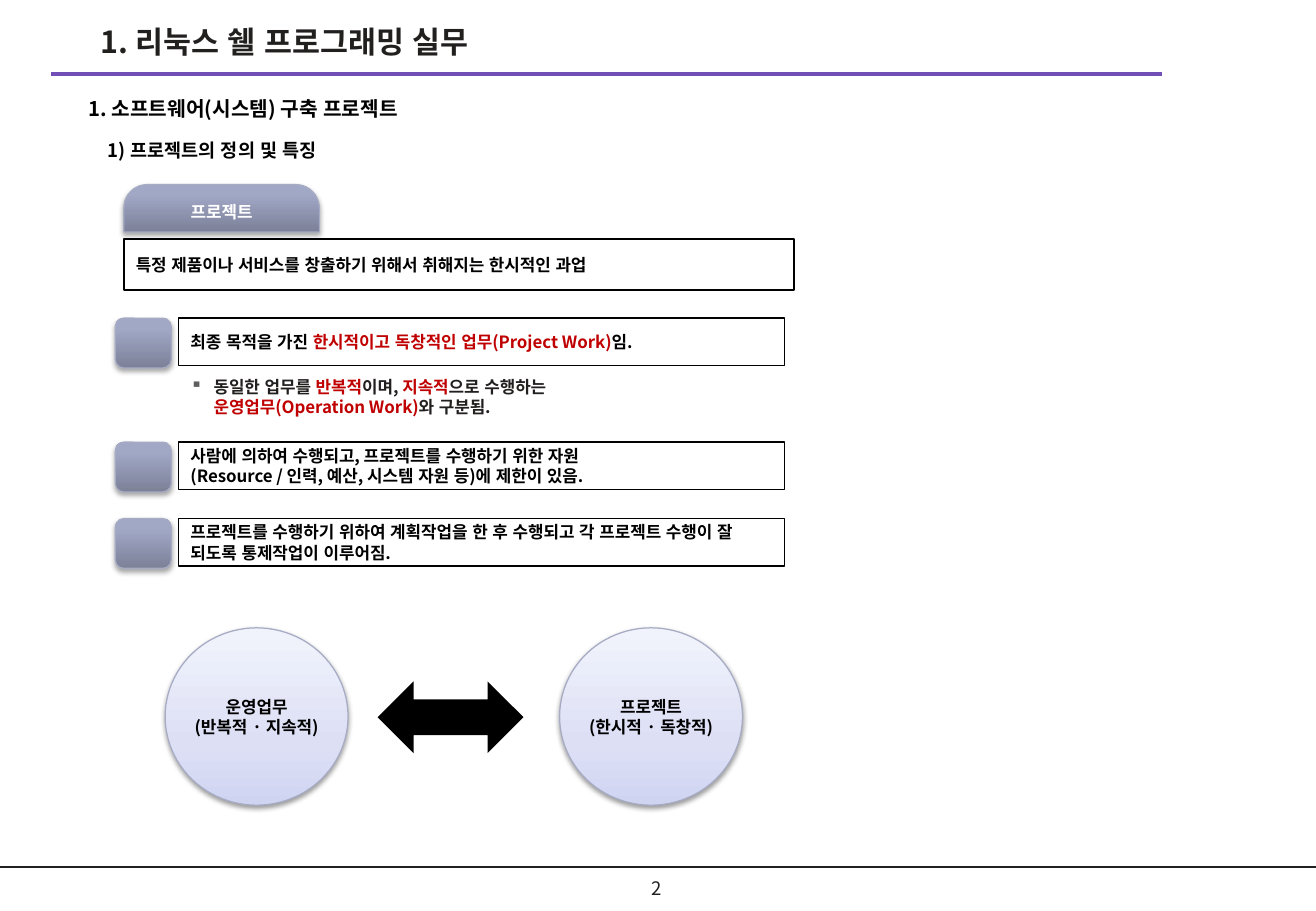
from lxml.etree import SubElement
from pptx import Presentation
from pptx.dml.color import RGBColor
from pptx.enum.lang import MSO_LANGUAGE_ID as LANG
from pptx.enum.shapes import MSO_CONNECTOR, MSO_SHAPE as SHAPE
from pptx.enum.text import MSO_ANCHOR as ANCHOR, MSO_AUTO_SIZE as AUTO, PP_ALIGN as ALIGN
from pptx.oxml.ns import qn
from pptx.util import Pt

FONT = "Noto Sans CJK KR"
BLACK = RGBColor(0x00, 0x00, 0x00)
WHITE = RGBColor(0xFF, 0xFF, 0xFF)
INK = RGBColor(0x22, 0x1F, 0x1F)
RED = RGBColor(0xC0, 0x00, 0x00)
PURPLE = RGBColor(0x72, 0x4F, 0xB7)
EDGE = RGBColor(0xA7, 0xAC, 0xC4)
SLATE = ((0, "7C8198"), (80, "A1A8C6"), (100, "A2A8C8"))
LILAC = ((0, "CFD4F1"), (35, "DDE0F5"), (100, "F1F3FC"))


class Deck:
    """Holds the text style and the current slide; lengths are in points."""

    def __init__(self, width, height):
        self.prs = Presentation()
        self.prs.slide_width, self.prs.slide_height = Pt(width), Pt(height)
        self.s = self.prs.slides.add_slide(self.prs.slide_layouts[5])

    def label(self, sp, runs, size, color, align=ALIGN.LEFT, anchor=ANCHOR.MIDDLE, bold=True):
        """Fill a shape with (text, colour) runs; a newline is a line break."""
        tf = sp.text_frame
        tf.word_wrap, tf.auto_size, tf.vertical_anchor = True, AUTO.NONE, anchor
        p = tf.paragraphs[0]
        p.alignment = align
        for text, run_color in [(runs, color)] if isinstance(runs, str) else runs:
            for i, line in enumerate(text.split("\n")):
                if i:
                    p.add_line_break()
                if not line:
                    continue
                r = p.add_run()
                r.text = line
                r.font.name, r.font.size, r.font.bold = FONT, Pt(size), bold
                r.font.color.rgb = run_color
                r.font.language_id = LANG.KOREAN
                SubElement(r.font._element, qn("a:ea"), typeface=FONT)
        return p

    def title(self, box, text, size):
        sp = self.s.shapes.title
        sp.left, sp.top, sp.width, sp.height = map(Pt, box)
        self.label(sp, text, size, INK, anchor=ANCHOR.TOP)

    def text(self, box, runs, size, color=BLACK, **style):
        return self.label(self.s.shapes.add_textbox(*map(Pt, box)), runs, size, color, **style)

    def bullet(self, box, runs, size, indent):
        p = self.text(box, runs, size, INK, anchor=ANCHOR.TOP)
        pPr = p._p.get_or_add_pPr()
        pPr.set("marL", str(Pt(indent)))
        pPr.set("indent", str(-Pt(indent)))
        SubElement(SubElement(pPr, qn("a:buClr")), qn("a:srgbClr"), val="5F5F5F")
        SubElement(pPr, qn("a:buChar"), char="▪")

    def line(self, x1, x2, y, color, width):
        c = self.s.shapes.add_connector(MSO_CONNECTOR.STRAIGHT, Pt(x1), Pt(y), Pt(x2), Pt(y))
        c.line.color.rgb, c.line.width = color, Pt(width)
        SubElement(c._element.spPr, qn("a:effectLst"))

    def shape(self, kind, box, fill=None, edge=None, width=1):
        sp = self.s.shapes.add_shape(kind, *map(Pt, box))
        sp.shadow.inherit = False
        if fill is None:
            sp.fill.background()
        else:
            sp.fill.solid()
            sp.fill.fore_color.rgb = fill
        if edge is None:
            sp.line.fill.background()
        else:
            sp.line.color.rgb, sp.line.width = edge, Pt(width)
        return sp

    def glossy(self, kind, box, stops, alpha, distance):
        """A shape with an upward gradient and a soft shadow below."""
        sp = self.shape(kind, box, WHITE, EDGE, 0.75)
        sp.fill.gradient()
        sp.fill.gradient_angle = 90
        spPr = sp._element.spPr
        stop_list = spPr.find(qn("a:gradFill")).find(qn("a:gsLst"))
        stop_list.clear()
        for pos, color in stops:
            stop = SubElement(stop_list, qn("a:gs"), pos=str(pos * 1000))
            SubElement(stop, qn("a:srgbClr"), val=color)
        shadow = SubElement(spPr.find(qn("a:effectLst")), qn("a:outerShdw"), blurRad=str(Pt(3.1)),
                            dist=str(Pt(distance)), dir="5400000", rotWithShape="0")
        shade = SubElement(shadow, qn("a:srgbClr"), val="000000")
        SubElement(shade, qn("a:alpha"), val=str(alpha * 1000))
        return sp


def main():
    deck = Deck(780, 540)

    # Rules, page number and headings
    deck.line(0, 780, 514, INK, 1)
    deck.line(30.3, 689, 43.7, PURPLE, 2.25)
    deck.text((367.2, 514.8, 43.9, 23.8), "2", 11, INK, align=ALIGN.CENTER, bold=False)
    deck.title((52.6, 10, 400, 34.6), "1. 리눅스 쉘 프로그래밍 실무", 18)
    deck.text((45.4, 53.3, 265.7, 22.3), "1. 소프트웨어(시스템) 구축 프로젝트", 12)
    deck.text((56.9, 75.6, 265.7, 26.6), "1) 프로젝트의 정의 및 특징", 11)

    # Definition with its tab
    tab = deck.glossy(SHAPE.ROUND_2_SAME_RECTANGLE, (73.4, 109.4, 115.9, 28.1), SLATE, 35, 1.8)
    tab.adjustments[0] = 0.5
    deck.label(tab, "프로젝트", 10, WHITE, ALIGN.CENTER)
    definition = deck.shape(SHAPE.RECTANGLE, (73.4, 141.8, 397.4, 30.2), edge=BLACK)
    deck.label(definition, "특정 제품이나 서비스를 창출하기 위해서 취해지는 한시적인 과업", 10, BLACK)

    # Features, each with a badge
    features = (
        (188.6, [("최종 목적을 가진 ", BLACK),
                 ("한시적이고 독창적인 업무(Project Work)", RED), ("임.", BLACK)]),
        (262.1, "사람에 의하여 수행되고, 프로젝트를 수행하기 위한 자원\n"
                "(Resource / 인력, 예산, 시스템 자원 등)에 제한이 있음."),
        (307.4, "프로젝트를 수행하기 위하여 계획작업을 한 후 수행되고 "
                "각 프로젝트 수행이 잘 되도록 통제작업이 이루어짐."),
    )
    for top, runs in features:
        deck.glossy(SHAPE.ROUNDED_RECTANGLE, (68.4, top, 33.1, 29.5), SLATE, 35, 1.8)
        row = deck.shape(SHAPE.RECTANGLE, (105.8, top, 359.3, 28.1), WHITE, BLACK)
        deck.label(row, runs, 10, BLACK)
    deck.bullet((105.8, 219.6, 370.8, 31.7), [
        ("동일한 업무를 ", INK), ("반복적", RED), ("이며, ", INK), ("지속적", RED),
        ("으로 수행하는\n", INK), ("운영업무(Operation Work)", RED), ("와 구분됨.", INK)], 10, 13.7)

    # Operation and project compared
    for left, caption in ((97.9, "운영업무\n(반복적 · 지속적)"), (331.7, "프로젝트\n(한시적 · 독창적)")):
        circle = deck.glossy(SHAPE.OVAL, (left, 372.2, 108.4, 105.1), LILAC, 38, 1.6)
        tf = circle.text_frame
        tf.margin_left = tf.margin_top = tf.margin_right = tf.margin_bottom = 0
        deck.label(circle, caption, 10, BLACK, ALIGN.CENTER)
    deck.shape(SHAPE.LEFT_RIGHT_ARROW, (223.9, 403.9, 86.4, 42.5), BLACK)

    deck.prs.save("out.pptx")


if __name__ == "__main__":
    main()
